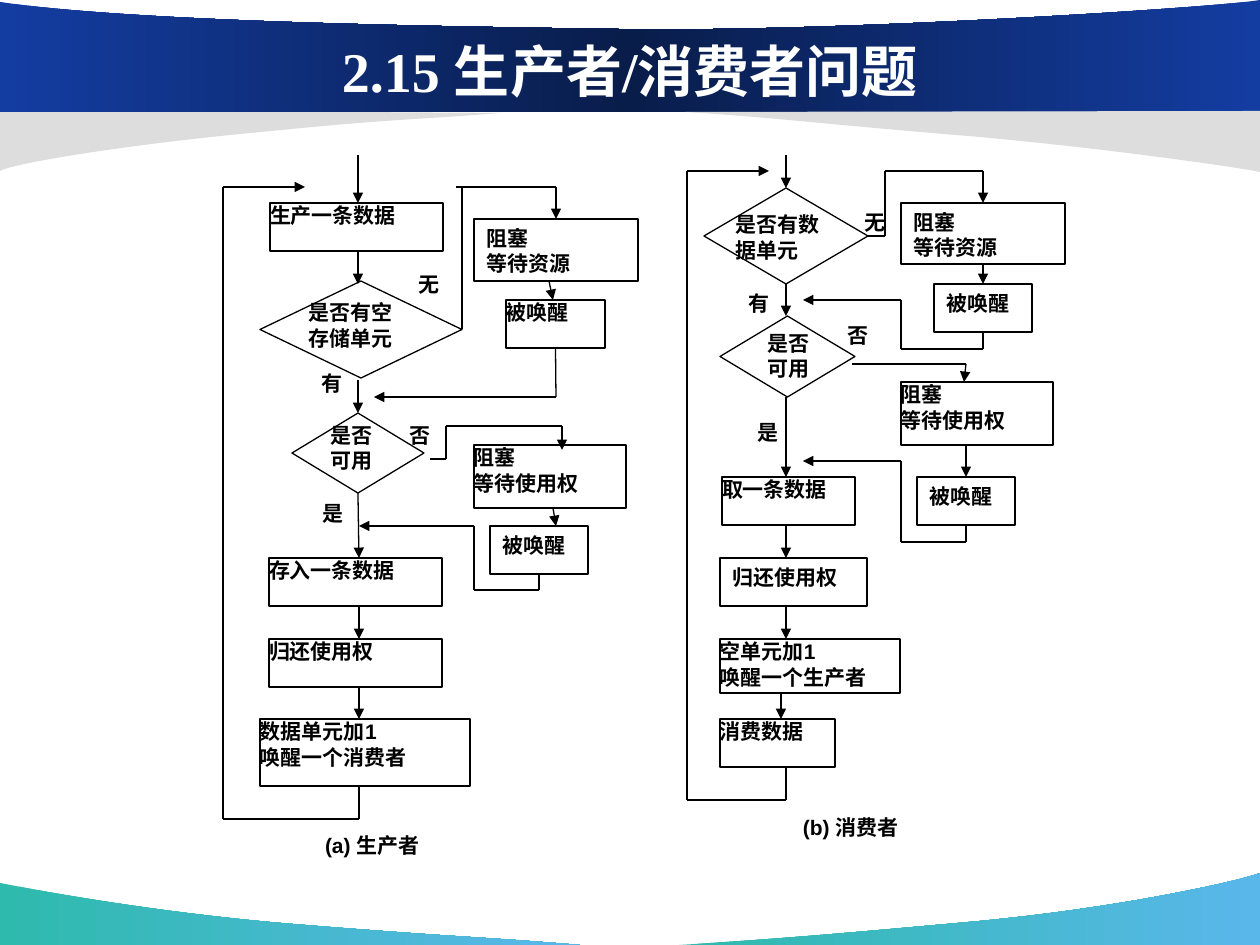
from itertools import pairwise
from lxml import etree
from pptx import Presentation, util as u
from pptx.dml.color import RGBColor
from pptx.enum import lang, shapes, text
from pptx.oxml.ns import qn

PX = u.Inches(10) / 1260
THEME = {
    "navy": [(0, "143DA2"), (50, "091D4B"), (100, "143DA2")],
    "sea": [(0, "2EBAAD"), (100, "5AB7EA")],
    "grey": "DDDDDD", "ink": "000000", "white": "FFFFFF",
    "title_font": "Times New Roman", "title_size": 32,
    "font": "Arial", "size": 12, "line": 0.75,
}
TITLE = ("2.15 生产者/消费者问题", (63, 6, 1134, 129))

BANDS = [
    ("sea", (580, 945), [[(484, 937), (451, 937), (292, 924)], [(134, 911), (1, 883), (0, 883)]], [(0, 945)]),
    ("sea", (679, 945), [[(774, 939), (814, 936), (969, 922)], [(1124, 908), (1247, 879), (1260, 873)]], [(1260, 945)]),
    ("grey", (501, 113), [[(417, 120), (401, 118), (262, 132)], [(122, 145), (11, 164), (0, 171)]], [(0, 110)]),
    ("navy", (1260, 0), [[(1215, 8), (823, 33), (614, 29)], [(404, 26), (127, 21), (0, 2)]], [(0, 112), (1260, 111)]),
    ("grey", (685, 112), [[(781, 118), (809, 123), (968, 136)], [(1126, 150), (1259, 171), (1260, 172)]], [(1260, 111)]),
]

DIAMONDS = [(260, 281, 202, 97), (292, 413, 132, 80), (704, 188, 164, 96), (720, 316, 135, 81)]

FLUSH_STEPS = [
    ("生产一条数据", (270, 203, 173, 48)),
    ("被唤醒", (506, 300, 99, 48)),
    ("阻塞\n等待使用权", (474, 445, 152, 63)),
    ("存入一条数据", (269, 558, 173, 48)),
    ("归还使用权", (269, 639, 173, 48)),
    ("数据单元加1\n唤醒一个消费者", (260, 719, 210, 67)),
    ("阻塞\n等待使用权", (901, 382, 152, 63)),
    ("取一条数据", (722, 477, 133, 48)),
    ("空单元加1\n唤醒一个生产者", (720, 639, 180, 54)),
    ("消费数据", (720, 719, 115, 48)),
]
PADDED_STEPS = [
    ("阻塞\n等待资源", (474, 219, 164, 62)),
    ("被唤醒", (490, 526, 98, 48)),
    ("阻塞\n等待资源", (901, 203, 164, 61)),
    ("被唤醒", (934, 284, 98, 48)),
    ("被唤醒", (917, 477, 98, 48)),
    ("归还使用权", (720, 558, 147, 48)),
]
FLUSH_NOTES = [
    ("是否有空\n存储单元", (309, 300, 115, 66)),
    ("是否有数\n据单元", (736, 212, 115, 60)),
    ("(a) 生产者", (325, 833, 131, 37)),
    ("(b) 消费者", (803, 815, 171, 48)),
]
BRANCHES = [
    ("无", 406, 265), ("有", 309, 364), ("否", 397, 416), ("是", 310, 494),
    ("无", 852, 203), ("有", 736, 284), ("否", 835, 316), ("是", 745, 413),
]
PADDED_NOTES = [
    ("是否\n可用", (318, 416, 88, 48)),
    ("是否\n可用", (755, 324, 82, 48)),
] + [(label, (left, top, 49, 48)) for label, left, top in BRANCHES]

PLAIN_ROUTES = [[(462, 330), (462, 187)]]
ARROW_ROUTES = [
    [(358, 155), (358, 203)],
    [(358, 251), (358, 284)],
    [(358, 380), (358, 413)],
    [(359, 493), (359, 558)],
    [(359, 606), (359, 639)],
    [(359, 687), (359, 719)],
    [(359, 787), (359, 819), (223, 819), (223, 187), (305, 187)],
    [(456, 187), (556, 187), (556, 219)],
    [(549, 281), (553, 300)],
    [(556, 348), (556, 397), (374, 397)],
    [(430, 459), (446, 459), (446, 426), (562, 426), (562, 450)],
    [(553, 508), (556, 526)],
    [(539, 574), (539, 590), (474, 590), (474, 526), (359, 526)],
    [(786, 155), (786, 188)],
    [(786, 284), (786, 316)],
    [(786, 397), (786, 477)],
    [(786, 525), (786, 558)],
    [(786, 606), (786, 639)],
    [(781, 693), (781, 719)],
    [(786, 767), (786, 800), (687, 800), (687, 171), (769, 171)],
    [(868, 236), (885, 236), (885, 171), (983, 171), (983, 203)],
    [(983, 264), (983, 284)],
    [(983, 332), (983, 349), (901, 349), (901, 300), (803, 300)],
    [(852, 364), (966, 364), (964, 382)],
    [(966, 445), (966, 477)],
    [(966, 525), (966, 542), (901, 542), (901, 461), (803, 461)],
]


def emu(values):
    return [round(value * PX) for value in values]


def color(name):
    return RGBColor.from_string(THEME[name])


def write(box, words, flush):
    frame = box.text_frame
    frame.word_wrap = True
    frame.vertical_anchor = text.MSO_ANCHOR.TOP
    if flush:
        frame.margin_left = frame.margin_right = frame.margin_top = frame.margin_bottom = 0
    frame.text = words
    for para in frame.paragraphs:
        para.alignment = text.PP_ALIGN.JUSTIFY
        style(para, "font", "size", "ink")


def style(para, face, size, ink):
    for span in para.runs:
        span.font.name = THEME[face]
        span.font.size = u.Pt(THEME[size])
        span.font.bold = True
        span.font.color.rgb = color(ink)
        span.font.language_id = lang.MSO_LANGUAGE_ID.SIMPLIFIED_CHINESE


def bend(band, count):
    segments = list(band._element.spPr.iter(qn("a:lnTo")))
    for index in range(count):
        trio = segments[3 * index:3 * index + 3]
        curve = etree.Element(qn("a:cubicBezTo"))
        trio[0].addprevious(curve)
        for segment in trio:
            curve.append(segment[0])
            segment.getparent().remove(segment)


def add_band(page, paint, start, curves, corners):
    first, *rest = [emu(point) for point in [start, *sum(curves, []), *corners]]
    builder = page.shapes.build_freeform(*first)
    builder.add_line_segments(rest, close=True)
    band = builder.convert_to_shape()
    bend(band, len(curves))
    band.shadow.inherit = False
    band.line.fill.background()
    if paint == "grey":
        band.fill.solid()
        band.fill.fore_color.rgb = color(paint)
        return
    band.fill.gradient()
    band.fill.gradient_angle = 0
    stops = band._element.spPr.find(".//" + qn("a:gsLst"))
    for stop in list(stops):
        stops.remove(stop)
    for position, value in THEME[paint]:
        stop = etree.SubElement(stops, qn("a:gs"), pos=str(position * 1000))
        etree.SubElement(stop, qn("a:srgbClr"), val=value)


def add_outline(page, kind, place):
    box = page.shapes.add_shape(kind, *emu(place))
    box.shadow.inherit = False
    box.fill.background()
    box.line.color.rgb = color("ink")
    box.line.width = u.Pt(THEME["line"])
    left, top, width, height = place
    middle, center = left + width / 2, top + height / 2
    sides = [(middle, top), (left, center), (middle, top + height), (left + width, center)]
    return [(box, index, side) for index, side in enumerate(sides)]


def join(connect, point, sites):
    for box, index, side in sites:
        if all(abs(a - b) <= 1 for a, b in zip(point, side)):
            connect(box, index)


def add_route(page, points, sites, arrow):
    for start, end in pairwise(points):
        line = page.shapes.add_connector(shapes.MSO_CONNECTOR.STRAIGHT, *emu(start + end))
        line.line.color.rgb = color("ink")
        line.line.width = u.Pt(THEME["line"])
        properties = line._element.spPr
        etree.SubElement(properties, qn("a:effectLst"))
        if start == points[0]:
            join(line.begin_connect, start, sites)
        if end == points[-1]:
            join(line.end_connect, end, sites)
            if arrow:
                etree.SubElement(properties.find(qn("a:ln")), qn("a:tailEnd"), type="triangle")


def main():
    deck = Presentation()
    deck.slide_width, deck.slide_height = u.Inches(10), u.Inches(7.5)
    page = deck.slides.add_slide(deck.slide_layouts[5])
    for band in BANDS:
        add_band(page, *band)

    title = page.shapes.title
    page.shapes._spTree.append(title._element)
    words, place = TITLE
    title.left, title.top, title.width, title.height = emu(place)
    title.text_frame.text = words
    title.text_frame.auto_size = text.MSO_AUTO_SIZE.NONE
    title.text_frame.vertical_anchor = text.MSO_ANCHOR.MIDDLE
    title.text_frame.paragraphs[0].alignment = text.PP_ALIGN.CENTER
    style(title.text_frame.paragraphs[0], "title_font", "title_size", "white")

    sites = []
    for place in DIAMONDS:
        sites += add_outline(page, shapes.MSO_SHAPE.FLOWCHART_DECISION, place)
    for steps, notes, flush in ((FLUSH_STEPS, FLUSH_NOTES, True), (PADDED_STEPS, PADDED_NOTES, False)):
        for words, place in steps:
            sides = add_outline(page, shapes.MSO_SHAPE.RECTANGLE, place)
            write(sides[0][0], words, flush)
            sites += sides
        for words, place in notes:
            write(page.shapes.add_textbox(*emu(place)), words, flush)
    for routes, arrow in ((PLAIN_ROUTES, False), (ARROW_ROUTES, True)):
        for points in routes:
            add_route(page, points, sites, arrow)
    deck.save("out.pptx")


if __name__ == "__main__":
    main()
